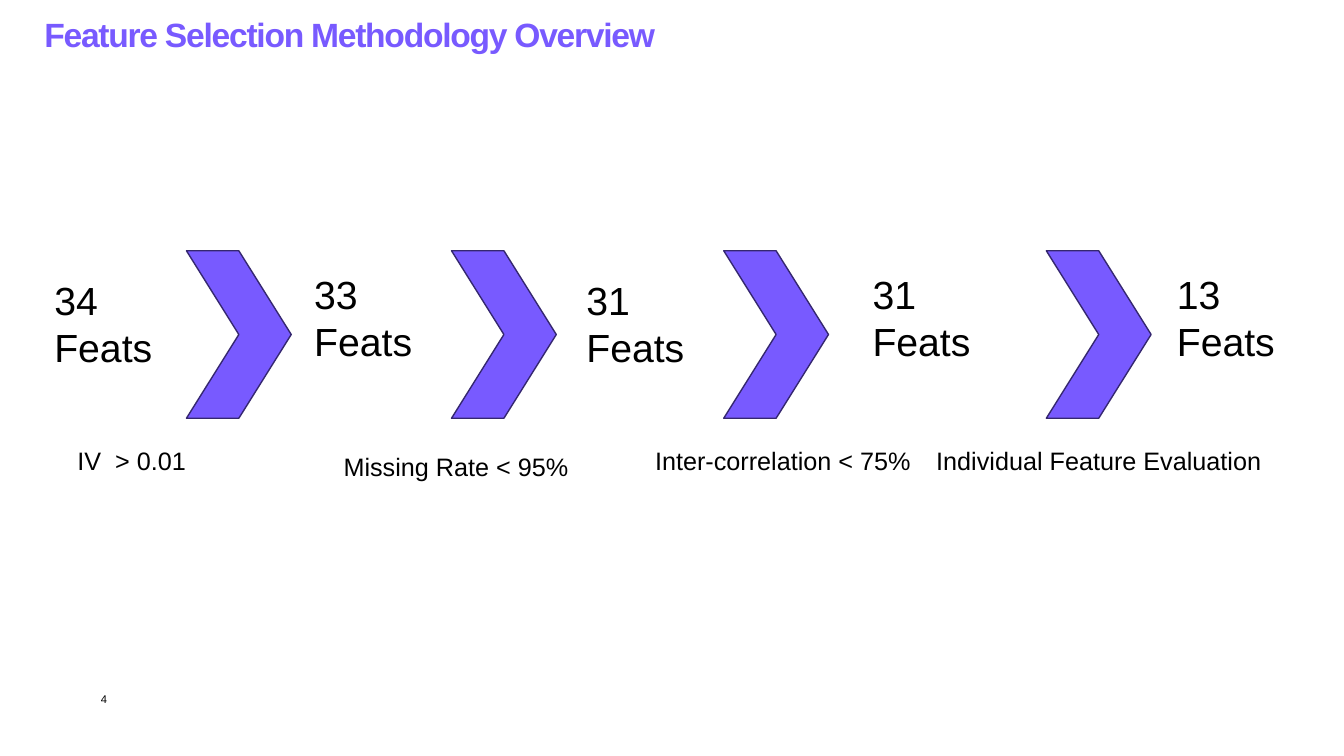
from dataclasses import dataclass

from pptx import Presentation
from pptx import util as u
from pptx.dml.color import RGBColor
from pptx.enum import shapes, text

TITLE = "Feature Selection Methodology Overview"
PAGE_NUMBER = "4"
COUNTS = [
    ("34", 1.12, 6.83),
    ("33", 7.67, 6.68),
    ("31", 14.53, 6.83),
    ("31", 21.74, 6.68),
    ("13", 29.41, 6.68),
]
FILTERS = [
    ("IV  > 0.01", 1.7, 11.1, 7.39, text.PP_ALIGN.LEFT),
    ("Missing Rate < 95%", 8.41, 11.25, 6.91, text.PP_ALIGN.LEFT),
    ("Inter-correlation < 75%", 16.26, 11.1, 8.23, text.PP_ALIGN.LEFT),
    ("Individual Feature Evaluation", 23.34, 11.1, 8.7, text.PP_ALIGN.CENTER),
]
CHEVRON_LEFTS = [4.7, 11.38, 18.24, 26.37]


@dataclass(frozen=True)
class Theme:
    font: str = "Arial"
    ink: str = "000000"
    accent: str = "785AFF"
    outline: str = "352770"
    title_size: int = 24
    count_size: int = 28
    filter_size: int = 18
    page_size: int = 8


THEME = Theme()


def add_text(slide, content, left, top, width, height, size, color=THEME.ink,
             bold=False, align=text.PP_ALIGN.LEFT, margins=(0.25, 0.13)):
    box = slide.shapes.add_textbox(u.Cm(left), u.Cm(top), u.Cm(width), u.Cm(height))
    frame = box.text_frame
    frame.word_wrap = True
    frame.margin_left = frame.margin_right = u.Cm(margins[0])
    frame.margin_top = frame.margin_bottom = u.Cm(margins[1])
    frame.text = content
    for paragraph in frame.paragraphs:
        paragraph.alignment = align
        for run in paragraph.runs:
            run.font.name = THEME.font
            run.font.size = u.Pt(size)
            run.font.bold = bold
            run.font.color.rgb = RGBColor.from_string(color)
    return frame.paragraphs[0]


def add_chevron(slide, left):
    chevron = slide.shapes.add_shape(
        shapes.MSO_SHAPE.CHEVRON, u.Cm(left), u.Cm(6.32), u.Cm(2.64), u.Cm(4.22))
    chevron.shadow.inherit = False
    chevron.fill.solid()
    chevron.fill.fore_color.rgb = RGBColor.from_string(THEME.accent)
    chevron.line.color.rgb = RGBColor.from_string(THEME.outline)
    chevron.line.width = u.Pt(1)


def main():
    presentation = Presentation()
    presentation.slide_width = u.Cm(33.87)
    presentation.slide_height = u.Cm(19.05)
    slide = presentation.slides.add_slide(presentation.slide_layouts[6])

    add_text(slide, PAGE_NUMBER, 2.54, 17.45, 7.42, 0.64, THEME.page_size, margins=(0, 0))
    for label, left, top, width, align in FILTERS:
        add_text(slide, label, left, top, width, 1.03, THEME.filter_size, align=align)
    for count, left, top in COUNTS:
        add_text(slide, f"{count}\nFeats", left, top, 4.04, 2.64, THEME.count_size)
    title = add_text(slide, TITLE, 1.12, 0, 31.7, 2.34, THEME.title_size,
                     THEME.accent, bold=True, margins=(0, 0.25))
    title.line_spacing = 1.1
    title.runs[0].font._element.set("spc", "-90")
    for left in CHEVRON_LEFTS:
        add_chevron(slide, left)

    presentation.save("out.pptx")


if __name__ == "__main__":
    main()
